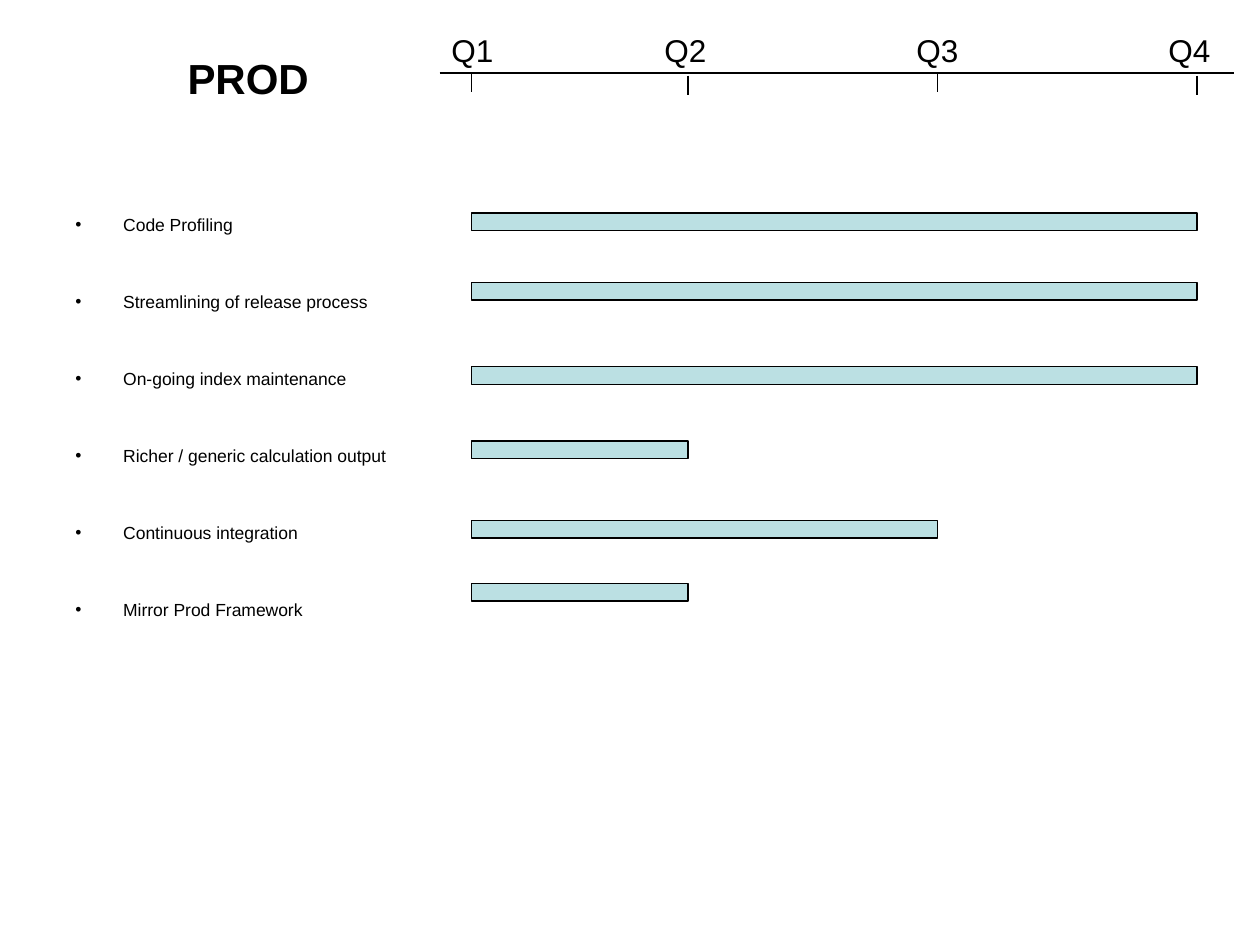
from dataclasses import dataclass

from lxml import etree
from pptx import Presentation
from pptx.dml.color import RGBColor
from pptx.enum.shapes import MSO_CONNECTOR, MSO_SHAPE
from pptx.enum.text import PP_ALIGN
from pptx.oxml.ns import qn
from pptx.util import Inches, Pt

STRAIGHT = MSO_CONNECTOR.STRAIGHT
PROCESS = MSO_SHAPE.FLOWCHART_PROCESS
LEFT, CENTER = PP_ALIGN.LEFT, PP_ALIGN.CENTER


@dataclass(frozen=True)
class Theme:
    """Colours, font and sizes of the roadmap."""
    ink: RGBColor = RGBColor(0, 0, 0)
    bar: RGBColor = RGBColor(0xBB, 0xE0, 0xE3)
    font: str = "Arial"
    title: Pt = Pt(24)
    quarter: Pt = Pt(18)
    task: Pt = Pt(10)
    task_gap: Pt = Pt(32)
    line: Pt = Pt(0.75)


THEME = Theme()
TICK_LENGTH = 0.15
BAR_HEIGHT = 0.14
QUARTERS = {
    "Q1": {"tick": 3.74, "label": 3.75, "drop": 0},
    "Q2": {"tick": 5.46, "label": 5.44, "drop": 0.02},
    "Q3": {"tick": 7.44, "label": 7.44, "drop": 0},
    "Q4": {"tick": 9.5, "label": 9.44, "drop": 0.02},
}
TASKS = [
    ("Code Profiling", "Q4", 1.69),
    ("Streamlining of release process", "Q4", 2.24),
    ("On-going index maintenance", "Q4", 2.91),
    ("Richer / generic calculation output", "Q2", 3.5),
    ("Continuous integration", "Q3", 4.13),
    ("Mirror Prod Framework", "Q2", 4.63),
]


def add_text(slide, box, lines, size, alignment=LEFT, bold=False):
    """Add a text box with one paragraph per line and return its paragraphs."""
    frame = slide.shapes.add_textbox(*map(Inches, box)).text_frame
    frame.word_wrap = True
    frame.text = "\n".join(lines)
    font_format = {"name": THEME.font, "size": size, "bold": bold}
    for paragraph in frame.paragraphs:
        paragraph.alignment = alignment
        for name, value in font_format.items():
            setattr(paragraph.runs[0].font, name, value)
        paragraph.runs[0].font.color.rgb = THEME.ink
    return frame.paragraphs


def add_line(slide, start, end):
    """Add a thin straight line without shadow."""
    connector = slide.shapes.add_connector(STRAIGHT, *map(Inches, start + end))
    connector.line.color.rgb = THEME.ink
    connector.line.width = THEME.line
    etree.SubElement(connector._element.spPr, qn("a:effectLst"))


def add_timeline(slide, box):
    """Draw the axis at the foot of the box with quarter labels and ticks."""
    left, top, width, height = box
    axis = top + height
    label_width = 0.8
    add_line(slide, (left, axis), (left + width, axis))
    for name, place in QUARTERS.items():
        label_box = (place["label"] - label_width / 2, top, label_width, height)
        add_text(slide, label_box, [name], THEME.quarter, CENTER)
        tick_top = axis + place["drop"]
        add_line(slide, (place["tick"], tick_top),
                 (place["tick"], tick_top + TICK_LENGTH))


def add_task_list(slide, box):
    """Write the tasks as an evenly spaced bulleted list."""
    names = [name for name, _, _ in TASKS]
    for index, paragraph in enumerate(add_text(slide, box, names, THEME.task)):
        paragraph.space_before = THEME.task_gap if index else Pt(0)
        properties = paragraph._p.get_or_add_pPr()
        properties.set("marL", str(Inches(0.38)))
        properties.set("indent", str(Inches(-0.38)))
        etree.SubElement(properties, qn("a:buFont"), typeface=THEME.font)
        etree.SubElement(properties, qn("a:buChar"), char="•")


def add_bars(slide, left):
    """Draw one bar per task from the left edge to its closing quarter."""
    for _, quarter, top in TASKS:
        width = QUARTERS[quarter]["tick"] - left
        bar = slide.shapes.add_shape(
            PROCESS, *map(Inches, (left, top, width, BAR_HEIGHT)))
        bar.shadow.inherit = False
        bar.fill.solid()
        bar.fill.fore_color.rgb = THEME.bar
        bar.line.color.rgb = THEME.ink
        bar.line.width = THEME.line


def main():
    """Build the roadmap slide and save it."""
    presentation = Presentation()
    presentation.slide_width, presentation.slide_height = Inches(10), Inches(7.5)
    slide = presentation.slides.add_slide(presentation.slide_layouts[6])
    add_task_list(slide, (0.5, 1.65, 2.94, 3.4))
    add_timeline(slide, (3.49, 0.2, 6.3, 0.38))
    add_bars(slide, QUARTERS["Q1"]["tick"])
    add_text(slide, (0.5, 0.37, 2.94, 0.5), ["PROD"], THEME.title, CENTER, True)
    presentation.save("out.pptx")


if __name__ == "__main__":
    main()
